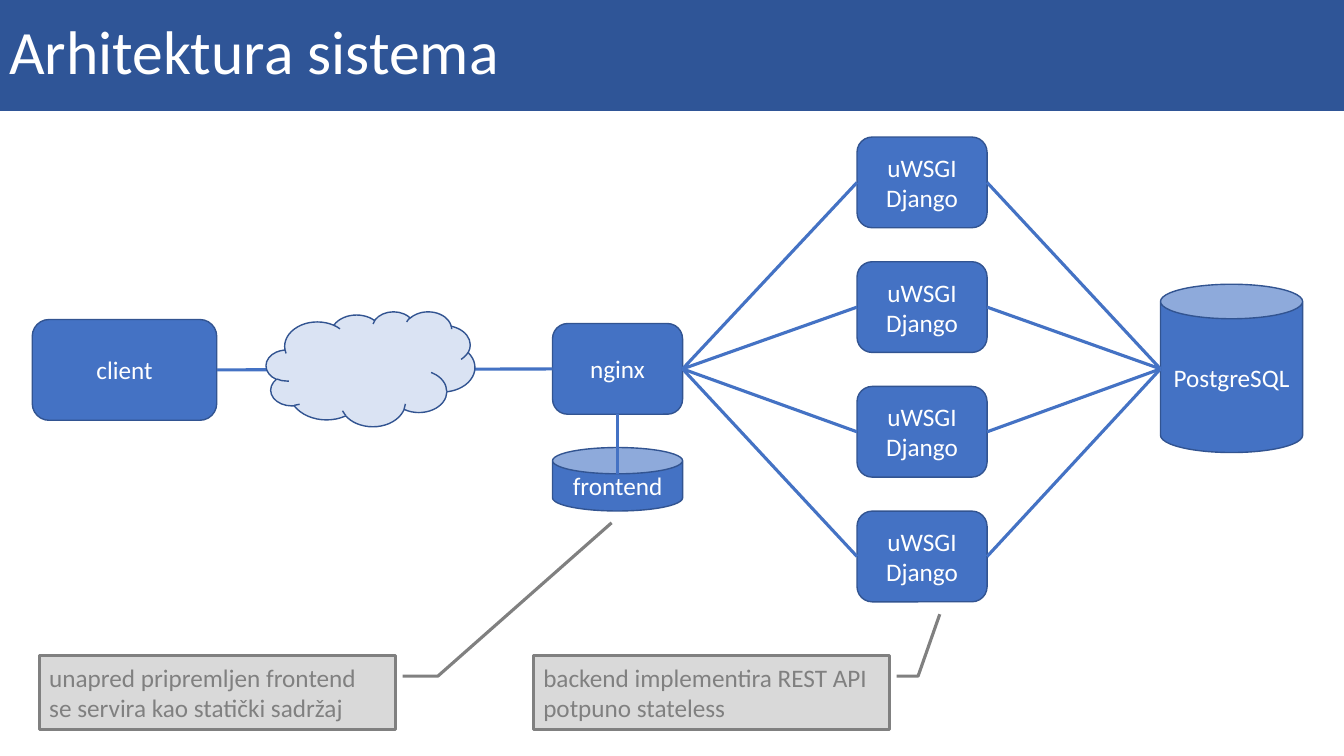
"""Build the system architecture slide: client, nginx, four Django workers and a database."""
from lxml.etree import SubElement
from pptx import Presentation
from pptx.dml.color import RGBColor
from pptx.enum.shapes import MSO_CONNECTOR, MSO_SHAPE
from pptx.enum.text import MSO_ANCHOR, MSO_AUTO_SIZE, PP_ALIGN
from pptx.oxml.ns import qn
from pptx.util import Inches, Pt

BLUE, DARK_BLUE, PALE_BLUE, TITLE_BLUE = "4472C4", "325491", "DAE3F3", "2F5597"
GRAY, PALE_GRAY, WHITE = "808080", "D9D9D9", "FFFFFF"


def paint(shape, line, weight, fill=None):
    """Set the outline of a shape or connector, and the fill if one is given."""
    shape.line.color.rgb = RGBColor.from_string(line)
    shape.line.width = Pt(weight)
    if fill:
        shape.fill.solid()
        shape.fill.fore_color.rgb = RGBColor.from_string(fill)
        shape.shadow.inherit = False
    else:
        SubElement(shape.element.spPr, qn("a:effectLst"))


def write(shape, text, size=18, color=WHITE, align=PP_ALIGN.CENTER, spacing=1.0):
    """Fill a shape with text, one paragraph for each line."""
    frame = shape.text_frame
    frame.text = text
    frame.word_wrap = True
    frame.auto_size = MSO_AUTO_SIZE.NONE
    frame.vertical_anchor = MSO_ANCHOR.MIDDLE
    for paragraph in frame.paragraphs:
        paragraph.alignment = align
        paragraph.line_spacing = spacing
        font = paragraph.runs[0].font
        font.name, font.size = "Calibri", Pt(size)
        font.color.rgb = RGBColor.from_string(color)


presentation = Presentation()
presentation.slide_width, presentation.slide_height = Inches(13.33), Inches(7.5)
slide = presentation.slides.add_slide(presentation.slide_layouts[5])

title = slide.shapes.title
title.left, title.top = Inches(-0.01), Inches(-0.01)
title.width, title.height = Inches(13.34), Inches(1.1)
paint(title, TITLE_BLUE, 1, TITLE_BLUE)
write(title, "Arhitektura sistema", size=44, align=PP_ALIGN.LEFT, spacing=0.9)

axis = 3.66
node_width, node_height = 1.29, 0.9
client_left, client_width = 0.32, 1.83
nginx_left, worker_left, database_left = 5.48, 8.5, 11.51
nginx_center = nginx_left + node_width / 2
worker_centers = [1.81 + 1.237 * row for row in range(4)]

box, can = MSO_SHAPE.ROUNDED_RECTANGLE, MSO_SHAPE.CAN
nodes = [
    (box, "client", client_left, 3.17, client_width, 1, None),
    (box, "nginx", nginx_left, axis - node_height / 2, node_width, node_height, None),
    (can, "frontend", nginx_left, 4.44, node_width, 0.63, 0.414),
    (can, "PostgreSQL", database_left, 2.82, 1.41, 1.67, 0.243),
]
for center in worker_centers:
    nodes.append((box, "uWSGI\nDjango", worker_left, center - node_height / 2,
                  node_width, node_height, None))
for kind, text, left, top, width, height, adjustment in nodes:
    node = slide.shapes.add_shape(kind, Inches(left), Inches(top), Inches(width), Inches(height))
    if adjustment:
        node.adjustments[0] = adjustment
    paint(node, DARK_BLUE, 1, BLUE)
    write(node, text)

links = [
    (client_left + client_width, 3.67, nginx_left, axis),
    (nginx_center, axis + node_height / 2, nginx_center, 4.7),
]
for center in worker_centers:
    links.append((nginx_left + node_width, axis, worker_left, center))
    links.append((worker_left + node_width, center, database_left, axis))
for link in links:
    connector = slide.shapes.add_connector(MSO_CONNECTOR.STRAIGHT, *map(Inches, link))
    paint(connector, BLUE, 2.25)

cloud = slide.shapes.add_shape(
    MSO_SHAPE.CLOUD, Inches(2.64), Inches(3.09), Inches(2.07), Inches(1.14))
paint(cloud, DARK_BLUE, 1, PALE_BLUE)

callouts = [
    ("unapred pripremljen frontend\nse servira kao statički sadržaj", 0.39, 1.12, -1.774, 1.608),
    ("backend implementira REST API\npotpuno stateless", 5.29, 1.081, -0.549, 1.142),
]
for text, left, bend, tip_top, tip_left in callouts:
    callout = slide.shapes.add_shape(
        MSO_SHAPE.LINE_CALLOUT_2, Inches(left), Inches(6.5), Inches(3.53), Inches(0.74))
    for index, value in enumerate((0.281, 1.021, 0.281, bend, tip_top, tip_left)):
        callout.adjustments[index] = value
    paint(callout, GRAY, 2.25, PALE_GRAY)
    write(callout, text, color=GRAY, align=PP_ALIGN.LEFT)

presentation.save("out.pptx")
